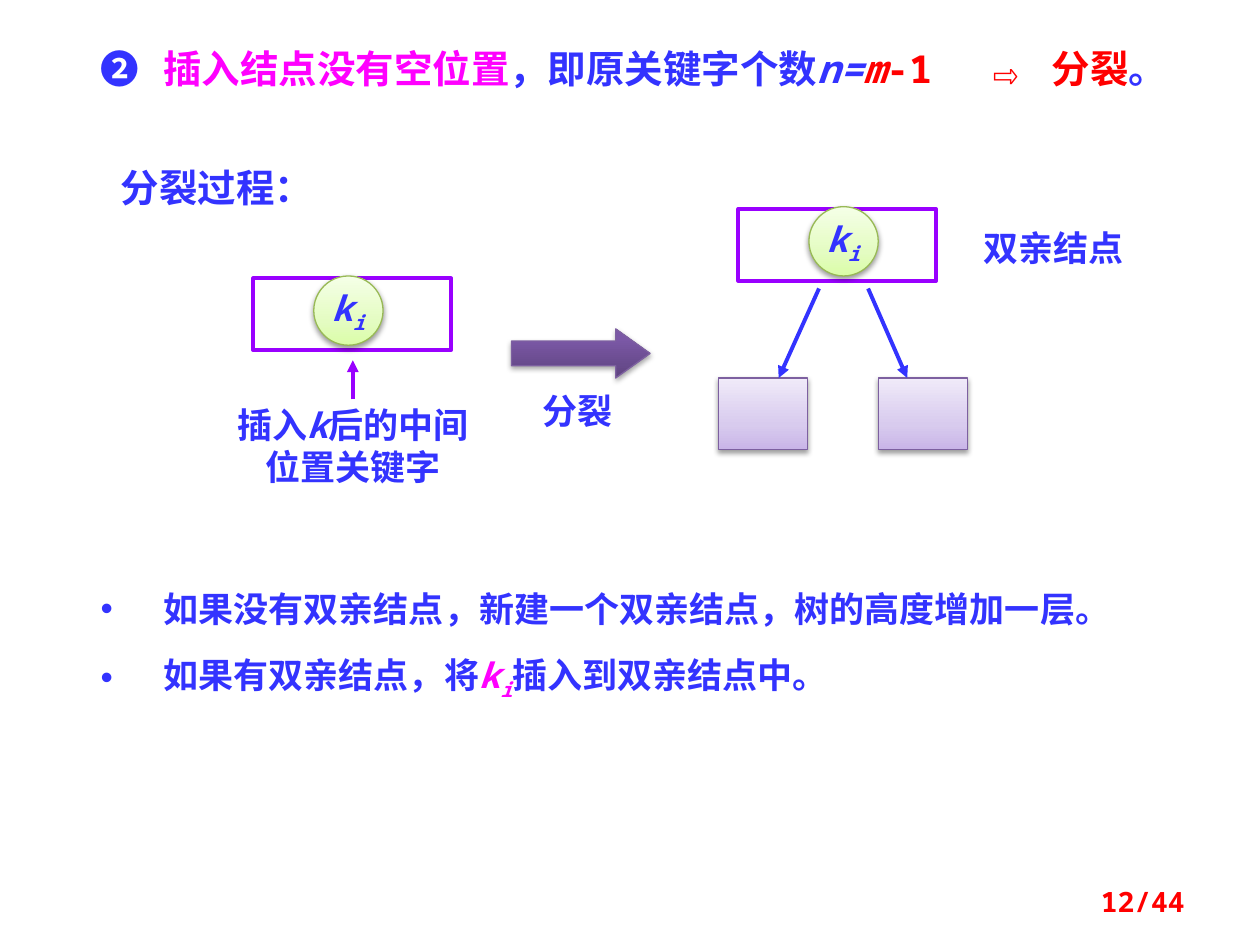
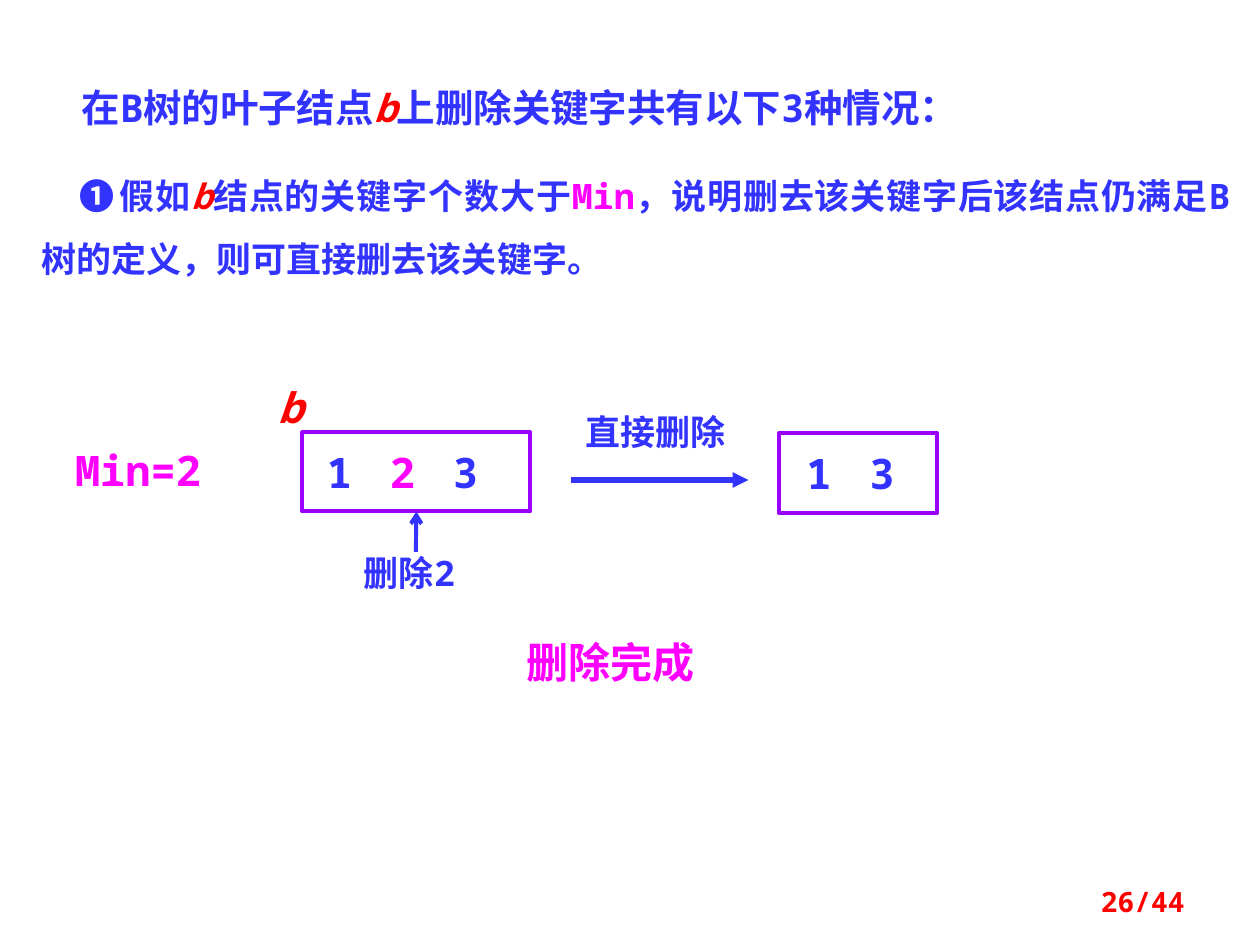
from lxml import etree
from pptx import Presentation
from pptx import util as u
from pptx.dml.color import RGBColor
from pptx.enum import shapes, text
from pptx.oxml.ns import qn

FONT = "Noto Sans Mono"
BLUE, RED, PINK, PURPLE, WHITE = "3333FF", "FF0000", "FF00FF", "9900FF", "FFFFFF"
GREEN_FADE = [(0, "DAFDA7"), (35, "E4FCC2"), (100, "F5FFE7")]
LILAC_FADE = [(0, "C9B5E8"), (35, "D8CBEE"), (100, "F0EAF9")]
VIOLET_FADE = [(0, "5F4480"), (80, "7B58A6"), (100, "7C57A8")]
ALIGN, ANCHOR, KIND = text.PP_ALIGN, text.MSO_ANCHOR, shapes.MSO_SHAPE
color_of = RGBColor.from_string


def write(box, *lines, size=20, color=BLUE, align="LEFT", anchor="TOP", inset=None,
          wrap=True, spacing=None, indent=0, bullet=None, tabs=()):
    """Fill a box; a line is a list of strings or (string, format) pairs."""
    frame = box.text_frame
    frame.word_wrap = wrap
    frame.vertical_anchor = ANCHOR[anchor]
    if inset is not None:
        frame.margin_left = frame.margin_right = u.Inches(inset)
        frame.margin_top = frame.margin_bottom = 0
    for number, line in enumerate(lines):
        para = frame.add_paragraph() if number else frame.paragraphs[0]
        para.alignment = ALIGN[align]
        if spacing:
            para.line_spacing = spacing
        props = para._p.get_or_add_pPr()
        props.set("indent", str(u.Inches(indent)))
        if bullet:
            props.set("marL", str(u.Inches(-indent)))
            etree.SubElement(props, qn("a:buFont"), typeface="Arial")
            etree.SubElement(props, qn("a:buChar"), char=bullet)
        if tabs:
            stops = etree.SubElement(props, qn("a:tabLst"))
            for stop in tabs:
                etree.SubElement(stops, qn("a:tab"), pos=str(u.Inches(stop)), algn="l")
        for piece in line:
            words, look = (piece, {}) if isinstance(piece, str) else piece
            span = para.add_run()
            span.text = words
            span.font.name = FONT
            span.font.bold = True
            span.font.size = u.Pt(look.get("size", size))
            span.font.italic = look.get("italic", False)
            span.font.color.rgb = color_of(look.get("color", color))
            if look.get("sub"):
                span.font._element.set("baseline", "-25000")


def draw(page, kind, at, fill, line, width=0.75, shadow=None):
    """Add a preset shape; fill is one colour or a list of gradient stops."""
    shape = page.shapes.add_shape(kind, *map(u.Inches, at))
    shape.shadow.inherit = False
    shape.line.color.rgb = color_of(line)
    shape.line.width = u.Pt(width)
    if isinstance(fill, str):
        shape.fill.solid()
        shape.fill.fore_color.rgb = color_of(fill)
    else:
        shape.fill.gradient()
        shape.fill.gradient_angle = 90
        stops = shape._element.spPr.find(".//" + qn("a:gsLst"))
        for old in list(stops):
            stops.remove(old)
        for percent, color in fill:
            stop = etree.SubElement(stops, qn("a:gs"), pos=str(percent * 1000))
            etree.SubElement(stop, qn("a:srgbClr"), val=color)
    if shadow:
        effects = shape._element.spPr.find(qn("a:effectLst"))
        outer = etree.SubElement(
            effects, qn("a:outerShdw"), blurRad=str(u.Pt(3.1)), dist=str(u.Pt(1.7)),
            dir="5400000", rotWithShape="0")
        black = etree.SubElement(outer, qn("a:srgbClr"), val="000000")
        etree.SubElement(black, qn("a:alpha"), val=str(shadow * 1000))
    return shape


deck = Presentation()
deck.slide_width, deck.slide_height = u.Inches(10), u.Inches(7.5)
split_page, delete_page = [deck.slides.add_slide(deck.slide_layouts[6]) for _ in range(2)]

italic = {"italic": True}
pink = {"color": PINK}
red = {"color": RED}
red_italic = {"color": RED, "italic": True}

# Nodes before and after the split, each with its middle key
for node_left, node_top, key_left in [(2.01, 2.21, 2.49), (5.86, 1.66, 6.42)]:
    draw(split_page, KIND.RECTANGLE, (node_left, node_top, 1.57, 0.57), WHITE, PURPLE, 2.25)
    key = draw(split_page, KIND.OVAL, (key_left, node_top - 0.02, 0.55, 0.55),
               GREEN_FADE, "98B955", shadow=38)
    write(key, [("k", italic), ("i", {"italic": True, "sub": True})],
          align="CENTER", anchor="MIDDLE", wrap=False)
for child_left in (5.7, 6.97):
    draw(split_page, KIND.RECTANGLE, (child_left, 3, 0.71, 0.57),
         LILAC_FADE, "7D60A0", shadow=38)
split_arrow = draw(split_page, KIND.RIGHT_ARROW, (4.06, 2.61, 1.1, 0.39),
                   VIOLET_FADE, "7D60A0", shadow=35)
split_arrow.adjustments[0], split_arrow.adjustments[1] = 0.5, 0.7

# Leaf node before and after the deletion, keys at an even pitch
KEY_WIDTH, KEY_PITCH = 0.2, 0.6
leaves = []
for left, top, width, keys in [
        (2.4, 3.43, 1.81, ["1", ("\t2", pink), "\t3"]),
        (6.18, 3.44, 1.26, ["1", "\t3"])]:
    leaf = draw(delete_page, KIND.RECTANGLE, (left, top, width, 0.63), WHITE, PURPLE, 2.25)
    gaps = len(keys) - 1
    write(leaf, keys, size=24, anchor="MIDDLE",
          inset=(width - KEY_WIDTH - KEY_PITCH * gaps) / 2 - 0.01,
          tabs=[KEY_PITCH * (step + 1) for step in range(gaps)])
    leaves.append(leaf)

labels = [
    (split_page, (0.7, 0.31, 8.75, 0.47),
     [["❷\t", ("插入结点没有空位置", pink), "，即原关键字个数", ("n=", italic),
       ("m", red_italic), ("-1\t⇨ 分裂", red), "。"]],
     {"size": 22, "tabs": (0.44, 6.97)}),
    (split_page, (1.66, 3.15, 2.28, 0.77),
     [["插入", ("k", italic), "后的中间位置关键字"]], {"align": "CENTER"}),
    (split_page, (4.21, 3.04, 0.94, 0.43), [["分裂"]], {}),
    (split_page, (0.86, 1.25, 2.19, 0.47), [["分裂过程："]], {"size": 22}),
    (split_page, (7.5, 1.75, 1.72, 0.44), [["双亲结点"]], {"align": "CENTER"}),
    (split_page, (0.7, 4.45, 8.98, 1.11),
     [["如果没有双亲结点，新建一个双亲结点，树的高度增加一层。"],
      ["如果有双亲结点，将", ("k", {"color": PINK, "italic": True}),
       ("i", {"color": PINK, "italic": True, "sub": True}), "插入到双亲结点中。"]],
     {"spacing": 1.5, "indent": -0.5, "bullet": "•"}),
    (delete_page, (0.55, 0.62, 8.98, 0.47),
     [["在B树的叶子结点", ("b", red_italic), "上删除关键字共有以下3种情况："]], {"size": 22}),
    (delete_page, (0.23, 1.17, 9.63, 1.11),
     [["❶", (" ", {"size": 10}), "假如", ("b", red_italic), "结点的关键字个数大于",
       ("Min", pink), "，说明删去该关键字后该结点仍满足B树的定义，则可直接删去该关键字。"]],
     {"align": "JUSTIFY", "spacing": 1.5, "indent": 0.3}),
    (delete_page, (1.95, 3.03, 0.71, 0.4), [[("b", red_italic)]],
     {"size": 24, "align": "CENTER", "inset": 0}),
    (delete_page, (4.53, 3.26, 1.34, 0.33), [["直接删除"]], {"align": "CENTER", "inset": 0}),
    (delete_page, (2.58, 4.38, 1.34, 0.33), [["删除2"]], {"align": "CENTER", "inset": 0}),
    (delete_page, (3.75, 5, 2.19, 0.5), [["删除完成"]],
     {"size": 24, "color": PINK, "align": "CENTER"}),
    (delete_page, (0.39, 3.48, 1.41, 0.5), [["Min=2"]],
     {"size": 24, "color": PINK, "align": "CENTER"}),
]
for page, number in [(split_page, 12), (delete_page, 26)]:
    labels.append((page, (7.17, 6.95, 2.33, 0.4), [[f"{number}/44"]],
                   {"size": 16, "color": RED, "align": "RIGHT", "anchor": "MIDDLE"}))
for page, at, lines, look in labels:
    write(page.shapes.add_textbox(*map(u.Inches, at)), *lines, **look)

# Arrows: page, ends, colour, width, head, leaf whose bottom side it meets
for page, ends, color, width, head, target in [
        (split_page, (2.8, 3.17, 2.8, 2.86), PURPLE, 2.25, "triangle", None),
        (split_page, (6.5, 2.29, 6.18, 3), BLUE, 2.25, "triangle", None),
        (split_page, (6.89, 2.29, 7.2, 3), BLUE, 2.25, "triangle", None),
        (delete_page, (4.53, 3.81, 5.94, 3.81), BLUE, 3, "triangle", None),
        (delete_page, (3.3, 4.38, 3.3, 4.06), BLUE, 2.25, "arrow", leaves[0])]:
    arrow = page.shapes.add_connector(shapes.MSO_CONNECTOR.STRAIGHT, *map(u.Inches, ends))
    arrow.line.color.rgb = color_of(color)
    arrow.line.width = u.Pt(width)
    etree.SubElement(arrow.line._get_or_add_ln(), qn("a:tailEnd"), type=head)
    etree.SubElement(arrow._element.spPr, qn("a:effectLst"))
    if target is not None:
        arrow.end_connect(target, 2)

deck.save("out.pptx")
